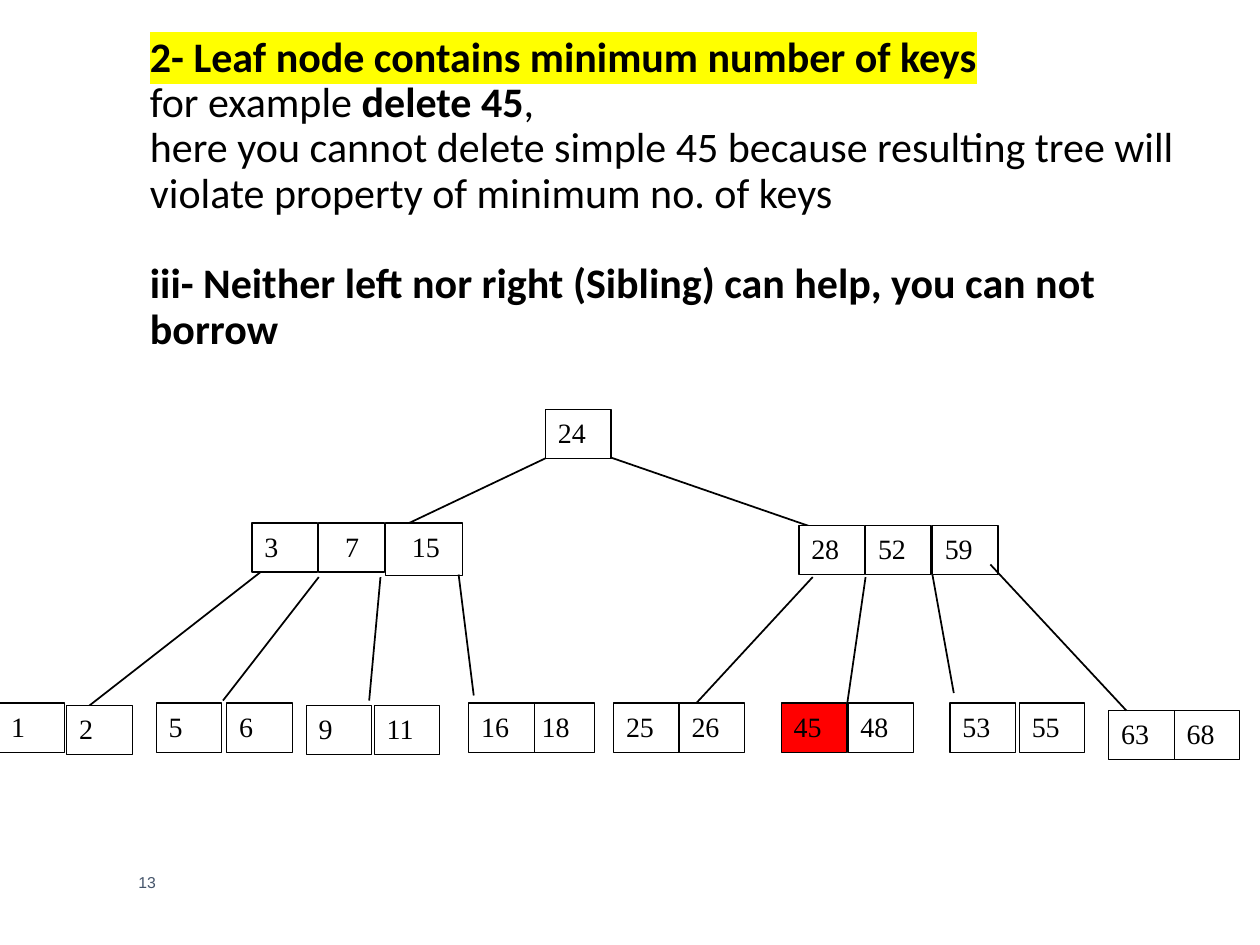
from dataclasses import dataclass

from lxml import etree
from pptx import Presentation
from pptx.dml.color import RGBColor
from pptx.enum.shapes import MSO_CONNECTOR, MSO_SHAPE
from pptx.enum.text import MSO_ANCHOR, MSO_AUTO_SIZE, PP_ALIGN
from pptx.oxml.ns import qn
from pptx.util import Inches, Pt

LINE = MSO_CONNECTOR.STRAIGHT
RECT = MSO_SHAPE.RECTANGLE
TOP, MIDDLE = MSO_ANCHOR.TOP, MSO_ANCHOR.MIDDLE
LEFT = PP_ALIGN.LEFT
NO_FIT = MSO_AUTO_SIZE.NONE


@dataclass(frozen=True)
class Theme:
    ink: str = "000000"
    paper: str = "FFFFFF"
    alert: str = "FF0000"
    slate: str = "44546A"
    mark: str = "FFFF00"
    head: tuple = ("Calibri", 24)
    key: tuple = ("Times New Roman", 16)
    page: tuple = ("Arial", 9)
    border: float = 0.75
    edge: float = 1


THEME = Theme()

# Each run: text, bold, highlighted; "\v" breaks the line.
HEAD = [
    ("2- Leaf node contains minimum number of keys\v", True, True),
    ("for example ", False, False),
    ("delete 45", True, False),
    (",\vhere you cannot delete simple 45 because resulting tree will "
     "violate property of minimum no. of keys\v\v", False, False),
    ("iii- Neither left nor right (Sibling) can help, you can not borrow\v",
     True, False),
]

# Tree lengths are inches from the corner of the tree's box.
CELL = (0.52, 0.39)
WIDE = (0.61, 0.42)
INSET = 0.1
SHIFT = {"7": 0.11, "15": 0.11}
DELETED = "45"

# Each node: left, top, step between keys, keys.
NODES = [
    (4.33, 0, 0, ["24"]),
    (2, 0.9, 0.53, ["3", "7", "15"]),
    (6.34, 0.92, 0.53, ["28", "52", "59"]),
    (-0.01, 2.33, 0, ["1"]),
    (0.53, 2.35, 0, ["2"]),
    (1.24, 2.33, 0.56, ["5", "6"]),
    (2.43, 2.35, 0.54, ["9", "11"]),
    (3.72, 2.33, 0.48, ["16", "18"]),
    (4.87, 2.33, 0.52, ["25", "26"]),
    (6.2, 2.33, 0.53, ["45", "48"]),
    (7.54, 2.33, 0.55, ["53", "55"]),
    (8.8, 2.39, 0.52, ["63", "68"]),
]
BACK_EDGES = [
    (4.45, 0.33, 2.87, 1.08),
    (4.7, 0.33, 6.87, 1.08),
    (2.12, 1.25, 0.62, 2.42),
    (2.53, 1.33, 1.77, 2.31),
    (3.02, 1.33, 2.93, 2.31),
    (6.45, 1.33, 5.37, 2.5),
    (6.87, 1.33, 6.7, 2.5),
    (7.4, 1.31, 7.57, 2.25),
]
FRONT_EDGES = [
    (3.64, 1.31, 3.76, 2.27),
    (7.86, 1.23, 8.94, 2.39),
]


def rgb(code):
    return RGBColor.from_string(code)


def style(para, face, color):
    para.alignment = LEFT
    para.font.name, size = face
    para.font.size = Pt(size)
    para.font.color.rgb = rgb(color)


def mark(run, color):
    """Highlight the run, and its line break with it."""
    light = etree.SubElement(run.font._element, qn("a:highlight"))
    etree.SubElement(light, qn("a:srgbClr"), val=color)


def add_title(slide, x, y, w, h):
    title = slide.shapes.title
    title.left, title.top = Inches(x), Inches(y)
    title.width, title.height = Inches(w), Inches(h)
    frame = title.text_frame
    frame.word_wrap = True
    frame.auto_size = NO_FIT
    frame.vertical_anchor = MIDDLE
    para = frame.paragraphs[0]
    para.line_spacing = 0.9
    style(para, THEME.head, THEME.ink)
    for text, bold, lit in HEAD:
        lines = text.split("\v")
        for i, line in enumerate(lines):
            if i:
                para.add_line_break()
            if line:
                run = para.add_run()
                run.text = line
                run.font.bold = bold
                if lit:
                    mark(run, THEME.mark)


def add_page(slide, x, y, w, h):
    box = slide.shapes.add_textbox(Inches(x), Inches(y), Inches(w), Inches(h))
    frame = box.text_frame
    frame.word_wrap = True
    frame.vertical_anchor = MIDDLE
    frame.text = "13"
    style(frame.paragraphs[0], THEME.page, THEME.slate)


def add_edge(slide, x, y, edge):
    x1, y1, x2, y2 = edge
    line = slide.shapes.add_connector(
        LINE, Inches(x + x1), Inches(y + y1), Inches(x + x2), Inches(y + y2))
    line.line.color.rgb = rgb(THEME.ink)
    line.line.width = Pt(THEME.edge)
    etree.SubElement(line._element.spPr, qn("a:effectLst"))


def add_key(slide, x, y, key):
    w, h = WIDE if key == "15" else CELL
    cell = slide.shapes.add_shape(
        RECT, Inches(x), Inches(y), Inches(w), Inches(h))
    cell.shadow.inherit = False
    cell.fill.solid()
    cell.fill.fore_color.rgb = rgb(
        THEME.alert if key == DELETED else THEME.paper)
    cell.line.color.rgb = rgb(THEME.ink)
    cell.line.width = Pt(THEME.border)
    frame = cell.text_frame
    frame.vertical_anchor = TOP
    frame.margin_left = Inches(INSET + SHIFT.get(key, 0))
    frame.text = key
    style(frame.paragraphs[0], THEME.key, THEME.ink)


def add_tree(slide, x, y):
    for edge in BACK_EDGES:
        add_edge(slide, x, y, edge)
    for left, top, step, keys in NODES:
        # Right to left, so that a left key overlaps the next one.
        for i in reversed(range(len(keys))):
            add_key(slide, x + left + i * step, y + top, keys[i])
    for edge in FRONT_EDGES:
        add_edge(slide, x, y, edge)


def main():
    deck = Presentation()
    deck.slide_width, deck.slide_height = Inches(10), Inches(7.5)
    slide = deck.slides.add_slide(deck.slide_layouts.get_by_name("Title Only"))
    add_title(slide, 1.09, 0.26, 8.62, 2.97)
    add_page(slide, 1, 6.75, 4.33, 0.5)
    add_tree(slide, 0, 3.25)
    deck.save("out.pptx")


if __name__ == "__main__":
    main()
